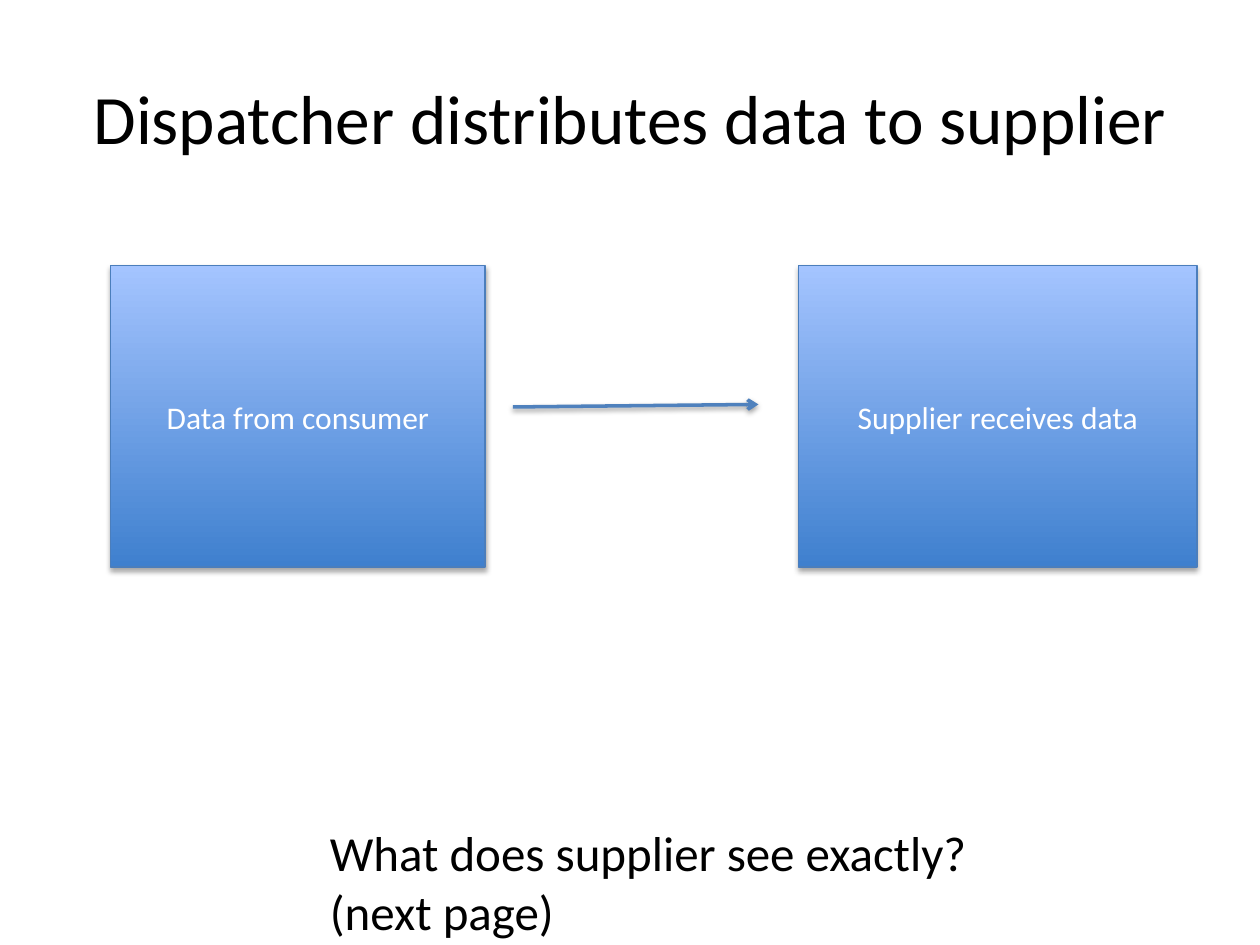
from lxml import etree
from pptx import Presentation
from pptx import util as u
from pptx.dml.color import RGBColor
from pptx.enum import shapes, text
from pptx.oxml.ns import qn

FONT = "Calibri"


def rgb(value):
    """Turn a hex string into a colour."""
    return RGBColor.from_string(value)


def style_text(tf, size, color, align=None):
    """Format every paragraph and run of a text frame."""
    for p in tf.paragraphs:
        p.alignment = align
        for r in p.runs:
            r.font.name = FONT
            r.font.size = u.Pt(size)
            r.font.color.rgb = rgb(color)


def add_shadow(sp, opacity, blur, distance):
    """Give a shape or connector a black shadow falling straight down."""
    effects = etree.SubElement(sp._element.spPr, qn("a:effectLst"))
    shadow = etree.SubElement(
        effects, qn("a:outerShdw"), blurRad=str(u.Pt(blur)),
        dist=str(u.Pt(distance)), dir="5400000", rotWithShape="0")
    color = etree.SubElement(shadow, qn("a:srgbClr"), val="000000")
    etree.SubElement(color, qn("a:alpha"), val=str(opacity * 1000))


def add_title(s, box, label):
    """Place and format the title placeholder."""
    sp = s.shapes.title
    sp.left, sp.top, sp.width, sp.height = map(u.Inches, box)
    tf = sp.text_frame
    tf.text = label
    tf.vertical_anchor = text.MSO_ANCHOR.MIDDLE
    style_text(tf, 39.6, "000000", text.PP_ALIGN.CENTER)


def add_party(s, box, label):
    """Draw one gradient box with a centred label."""
    sp = s.shapes.add_shape(shapes.MSO_SHAPE.RECTANGLE, *map(u.Inches, box))
    sp.fill.gradient()
    sp.fill.gradient_angle = 90
    for stop, position, color in zip(sp.fill.gradient_stops, (0, 1), ("3F80CE", "A4C4FF")):
        stop.position = position
        stop.color.rgb = rgb(color)
    sp.line.color.rgb = rgb("4B7EBC")
    sp.line.width = u.Pt(0.75)
    add_shadow(sp, 35, 3.1, 1.8)
    tf = sp.text_frame
    tf.text = label
    tf.word_wrap = True
    tf.vertical_anchor = text.MSO_ANCHOR.MIDDLE
    style_text(tf, 18, "FFFFFF", text.PP_ALIGN.CENTER)


def add_arrow(s, start, end):
    """Draw the arrow from the consumer data to the supplier."""
    line = s.shapes.add_connector(
        shapes.MSO_CONNECTOR.STRAIGHT, *map(u.Inches, start + end))
    line.line.color.rgb = rgb("4F81BD")
    line.line.width = u.Pt(2)
    etree.SubElement(line.line._get_or_add_ln(), qn("a:tailEnd"), type="arrow")
    add_shadow(line, 38, 3.1, 1.6)


def add_question(s, box, lines):
    """Write the closing question, one paragraph for each line."""
    tf = s.shapes.add_textbox(*map(u.Inches, box)).text_frame
    tf.text = "\n".join(lines)
    tf.word_wrap = False
    tf.auto_size = text.MSO_AUTO_SIZE.SHAPE_TO_FIT_TEXT
    style_text(tf, 28, "000000")


def main():
    """Build the slide and save it."""
    prs = Presentation()
    prs.slide_width, prs.slide_height = u.Inches(10), u.Inches(7.5)
    s = prs.slides.add_slide(prs.slide_layouts[5])
    add_title(s, (0.5, 0.3, 9, 1.25), "Dispatcher distributes data to supplier")
    add_party(s, (0.88, 2.11, 2.97, 2.39), "Data from consumer")
    add_arrow(s, (4.07, 3.23), (6.02, 3.21))
    add_party(s, (6.34, 2.11, 3.16, 2.39), "Supplier receives data")
    add_question(s, (2.52, 6.48, 5.33, 1.04),
                 ("What does supplier see exactly?", "(next page)"))
    prs.save("out.pptx")


if __name__ == "__main__":
    main()
